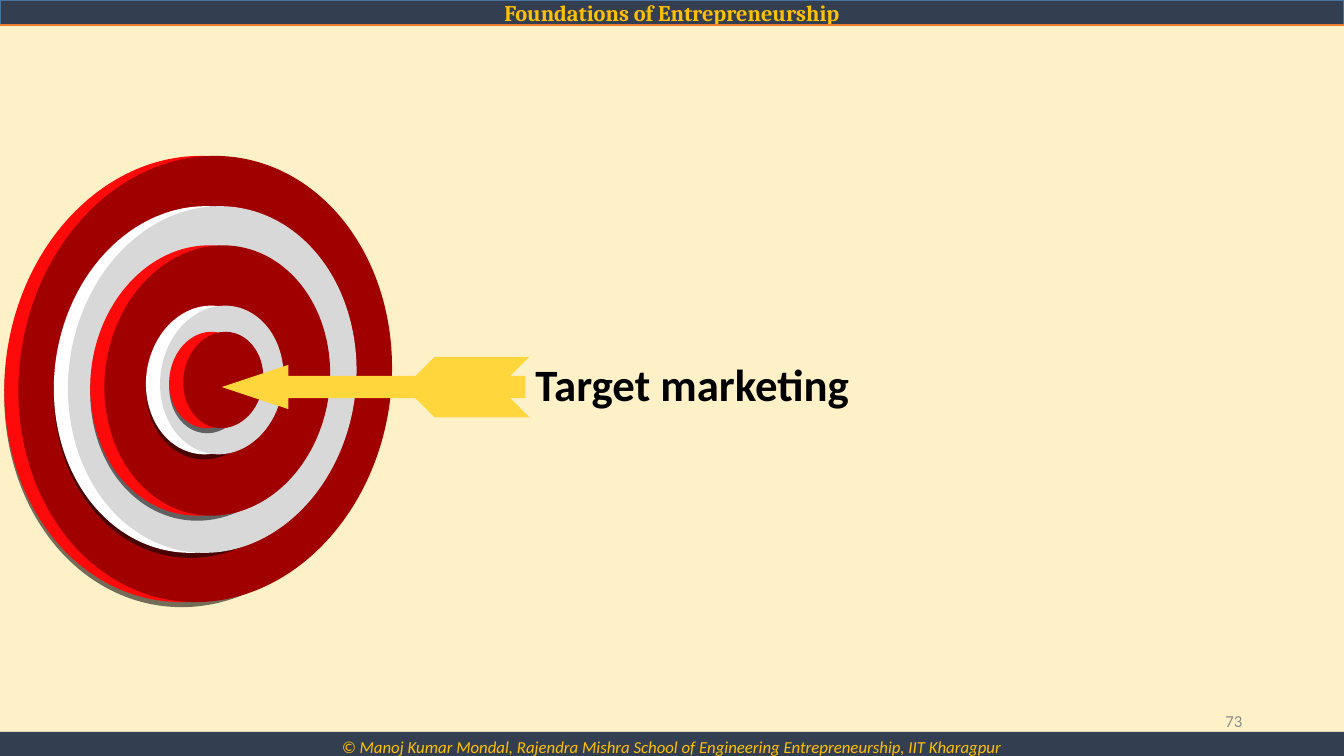
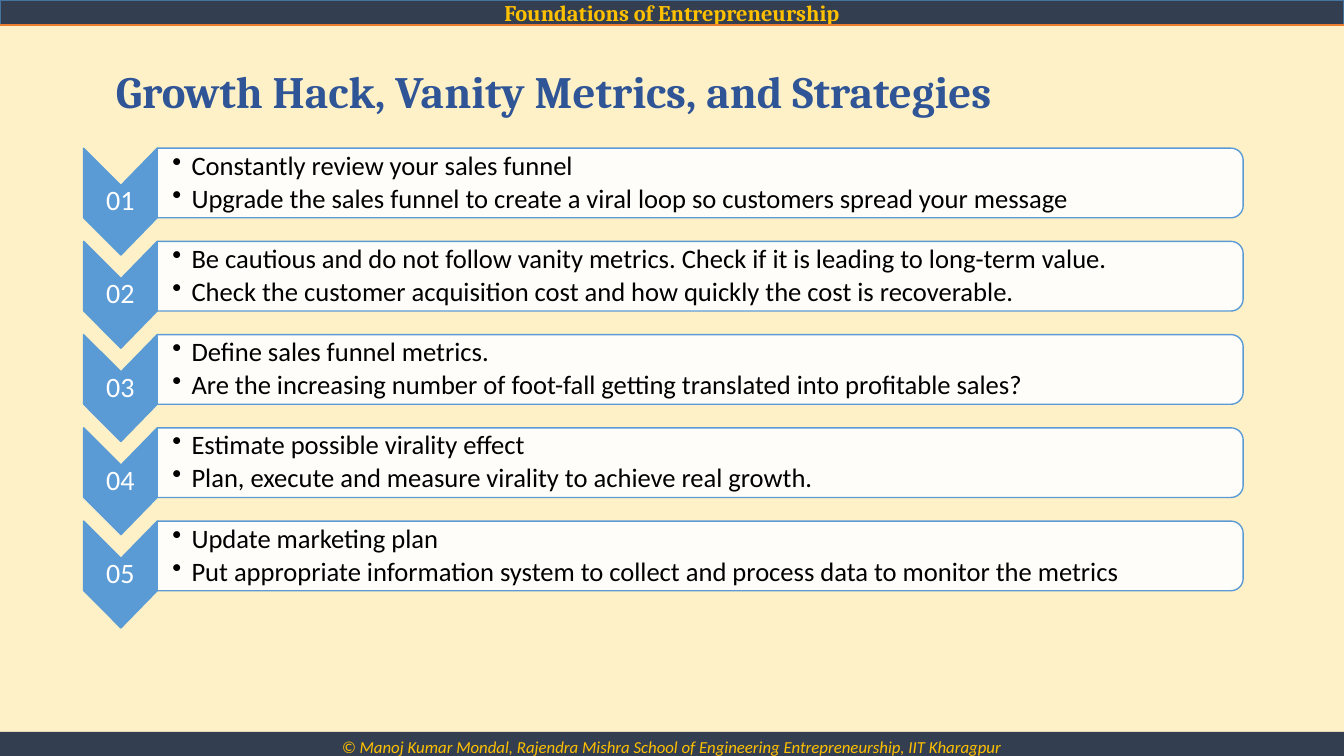
import dataclasses
import math

import pptx
import pptx.dml.color
import pptx.enum.shapes
import pptx.enum.text
import pptx.oxml
import pptx.oxml.ns
import pptx.util

Inches = pptx.util.Inches
Pt = pptx.util.Pt
Align = pptx.enum.text.PP_ALIGN
Anchor = pptx.enum.text.MSO_ANCHOR
Preset = pptx.enum.shapes.MSO_SHAPE


@dataclasses.dataclass(frozen=True)
class Theme:
    width: float = 13.33
    height: float = 7.5
    background: str = "FFF1C7"
    band: str = "333F50"
    band_line: str = "43739E"
    rule: str = "ED7D31"
    gold: str = "FFC000"
    arrow: str = "FFD73C"
    red: str = "A00000"
    red_edge: str = "FF0A0A"
    silver: str = "D8D8D8"
    white: str = "FFFFFF"
    black: str = "000000"
    gray: str = "8C8C8C"
    heading: str = "2F5597"
    step: str = "5B9BD5"
    heading_font: str = "Cambria"
    body_font: str = "Calibri"
    title_size: int = 32
    number_size: int = 20
    body_size: int = 19
    header_size: int = 16
    small_size: int = 12


def rgb(color):
    return pptx.dml.color.RGBColor.from_string(color)


class Deck:
    def __init__(self, theme):
        self.theme = theme
        self.presentation = pptx.Presentation()
        self.presentation.slide_width = Inches(theme.width)
        self.presentation.slide_height = Inches(theme.height)
        self.slide = None
        fill = self.presentation.slide_master.background.fill
        fill.solid()
        fill.fore_color.rgb = rgb(theme.background)

    def add_slide(self):
        first = self.slide is None
        layout = self.presentation.slide_layouts.get_by_name("Title Only")
        self.slide = self.presentation.slides.add_slide(layout)
        if first:
            self.add_master_bands()

    def add_master_bands(self):
        """Draw the header and footer, then move them to the slide master."""
        theme = self.theme
        header = self.preset(Preset.RECTANGLE, 0, 0, theme.width, 0.25, theme.band, theme.band_line)
        self.set_text(header, ["Foundations of Entrepreneurship"], theme.header_size, theme.gold,
                      font=theme.heading_font, bold=True, align=Align.CENTER)
        rule = self.line(0, 0.25, theme.width, 0.25, theme.rule, 1.5)
        footer = self.preset(Preset.RECTANGLE, 0, 7.26, theme.width, 0.24, theme.band)
        self.set_text(footer, ["© Manoj Kumar Mondal, Rajendra Mishra School of Engineering "
                               "Entrepreneurship, IIT Kharagpur"],
                      theme.small_size, theme.gold, italic=True, align=Align.CENTER,
                      anchor=Anchor.TOP, insets=(0.1, 0.05, 0.1, 0))
        tree = self.presentation.slide_master.shapes._spTree
        for shape in (header, rule, footer):
            tree.insert_element_before(shape._element, "p:extLst")

    def paint(self, shape, fill, line=None, opacity=100):
        shape.shadow.inherit = False
        shape.fill.solid()
        shape.fill.fore_color.rgb = rgb(fill)
        if opacity < 100:
            color = shape._element.spPr.find(".//" + pptx.oxml.ns.qn("a:srgbClr"))
            color.append(pptx.oxml.parse_xml(
                f'<a:alpha {pptx.oxml.ns.nsdecls("a")} val="{opacity * 1000}"/>'))
        if line:
            shape.line.color.rgb = rgb(line)
            shape.line.width = Pt(1)
        else:
            shape.line.fill.background()
        return shape

    def preset(self, kind, left, top, width, height, fill, line=None, opacity=100):
        shape = self.slide.shapes.add_shape(
            kind, Inches(left), Inches(top), Inches(width), Inches(height))
        return self.paint(shape, fill, line, opacity)

    def polygon(self, points, fill, line=None, opacity=100):
        start, *rest = [(Inches(x), Inches(y)) for x, y in points]
        builder = self.slide.shapes.build_freeform(*start)
        builder.add_line_segments(rest, close=True)
        return self.paint(builder.convert_to_shape(), fill, line, opacity)

    def line(self, x1, y1, x2, y2, color, width):
        connector = self.slide.shapes.add_connector(
            pptx.enum.shapes.MSO_CONNECTOR.STRAIGHT,
            Inches(x1), Inches(y1), Inches(x2), Inches(y2))
        connector.line.color.rgb = rgb(color)
        connector.line.width = Pt(width)
        connector._element.spPr.append(
            pptx.oxml.parse_xml(f'<a:effectLst {pptx.oxml.ns.nsdecls("a")}/>'))
        return connector

    def set_text(self, shape, lines, size, color, font=None, bold=False, italic=False,
                 align=Align.LEFT, anchor=Anchor.MIDDLE, insets=(0.1, 0, 0.1, 0),
                 spacing=1.0, after=0, bullets=False):
        frame = shape.text_frame
        frame.text = "\n".join(lines)
        frame.word_wrap = True
        frame.auto_size = pptx.enum.text.MSO_AUTO_SIZE.NONE
        frame.vertical_anchor = anchor
        frame.margin_left, frame.margin_top, frame.margin_right, frame.margin_bottom = map(
            Inches, insets)
        for paragraph in frame.paragraphs:
            if bullets:
                self.add_bullet(paragraph)
            paragraph.alignment = align
            paragraph.line_spacing = spacing
            paragraph.space_before = Pt(0)
            paragraph.space_after = Pt(after)
            for run in paragraph.runs:
                run.font.name = font or self.theme.body_font
                run.font.size = Pt(size)
                run.font.bold = bold
                run.font.italic = italic
                run.font.color.rgb = rgb(color)

    def add_bullet(self, paragraph):
        properties = paragraph._p.get_or_add_pPr()
        properties.set("marL", str(Inches(0.19)))
        properties.set("indent", str(-Inches(0.19)))
        properties.append(pptx.oxml.parse_xml(
            f'<a:buChar {pptx.oxml.ns.nsdecls("a")} char="•"/>'))

    def title(self, text, left, top, width, height, color, font):
        shape = self.slide.shapes.title
        shape.left, shape.top = Inches(left), Inches(top)
        shape.width, shape.height = Inches(width), Inches(height)
        self.set_text(shape, [text], self.theme.title_size, color, font=font, bold=True,
                      spacing=0.9, insets=(0.1, 0.05, 0.1, 0.05))

    def page_number(self, number):
        shape = self.slide.shapes.add_textbox(Inches(9.42), Inches(6.95), Inches(3), Inches(0.4))
        self.set_text(shape, [str(number)], self.theme.small_size, self.theme.gray,
                      align=Align.RIGHT)

    def disc(self, left, top, right, bottom, face, edge):
        """Draw a tilted disc as a shadow, a bright edge and a face."""
        depth, drop = 0.14, 0.05
        width, height = right - left - depth, bottom - top - drop
        layers = ((0, drop, self.theme.black, 55), (0, 0, edge, 100), (depth, 0, face, 100))
        for shift, lower, color, opacity in layers:
            oval = self.preset(Preset.OVAL, left + shift, top + lower, width, height,
                               color, opacity=opacity)
            oval.rotation = 8

    def arrow(self, axis):
        upper = [(2.86, 0.22), (2.86, 0.11), (4.12, 0.11), (4.31, 0.3),
                 (5.25, 0.3), (5.06, 0.11), (5.21, 0.11)]
        points = [(2.2, axis)] + [(x, axis - rise) for x, rise in upper]
        points += [(x, axis + rise) for x, rise in reversed(upper)]
        self.polygon(points, self.theme.arrow)

    def step(self, number, top, lines):
        theme = self.theme
        left, middle, right, far = 0.83, 1.2, 1.56, 12.33
        height, notch, radius = 0.69, 0.37, 0.12
        bottom = top + height
        chevron = self.polygon(
            [(left, top), (middle, top + notch), (right, top), (right, bottom),
             (middle, bottom + notch), (left, bottom)], theme.step, theme.step)
        self.set_text(chevron, [f"{number:02}"], theme.number_size, theme.white,
                      align=Align.CENTER, insets=(0, notch, 0, notch), spacing=0.9)

        angles = [math.radians(degrees) for degrees in range(0, 91, 10)]
        corner = [(far - radius + radius * math.sin(angle), radius - radius * math.cos(angle))
                  for angle in angles]
        outline = [(right, top)] + [(x, top + y) for x, y in corner]
        outline += [(x, bottom - y) for x, y in reversed(corner)] + [(right, bottom)]
        panel = self.polygon(outline, theme.white, theme.step, opacity=90)
        self.set_text(panel, lines, theme.body_size, theme.black, spacing=0.9, after=3,
                      insets=(0.15, 0.05, 0.05, 0.05), bullets=True)


def add_target_slide(deck):
    theme = deck.theme
    deck.add_slide()
    deck.title("Target marketing", 5.21, 3.52, 5.68, 0.64, theme.black, theme.body_font)
    discs = [(0.05, 1.54, 3.88, 6.03), (0.54, 2.04, 3.53, 5.54), (0.9, 2.43, 3.27, 5.17),
             (1.45, 3.03, 2.81, 4.56), (1.68, 3.29, 2.61, 4.3)]
    colors = [(theme.red, theme.red_edge), (theme.silver, theme.white)]
    for index, bounds in enumerate(discs):
        deck.disc(*bounds, *colors[index % 2])
    deck.page_number(73)
    deck.arrow(3.84)


def add_growth_slide(deck):
    deck.add_slide()
    deck.title("Growth Hack, Vanity Metrics, and Strategies", 1.05, 0.21, 11.77, 1.45,
               deck.theme.heading, deck.theme.heading_font)
    steps = [
        ("Constantly review your sales funnel",
         "Upgrade the sales funnel to create a viral loop so customers spread your message"),
        ("Be cautious and do not follow vanity metrics. Check if it is leading to long-term value.",
         "Check the customer acquisition cost and how quickly the cost is recoverable."),
        ("Define sales funnel metrics.",
         "Are the increasing number of foot-fall getting translated into profitable sales?"),
        ("Estimate possible virality effect",
         "Plan, execute and measure virality to achieve real growth."),
        ("Update marketing plan",
         "Put appropriate information system to collect and process data to monitor the metrics"),
    ]
    first_top, last_top = 1.47, 5.17
    pitch = (last_top - first_top) / (len(steps) - 1)
    for index, lines in enumerate(steps):
        deck.step(index + 1, first_top + index * pitch, lines)


def main():
    deck = Deck(Theme())
    add_target_slide(deck)
    add_growth_slide(deck)
    deck.presentation.save("out.pptx")


if __name__ == "__main__":
    main()
